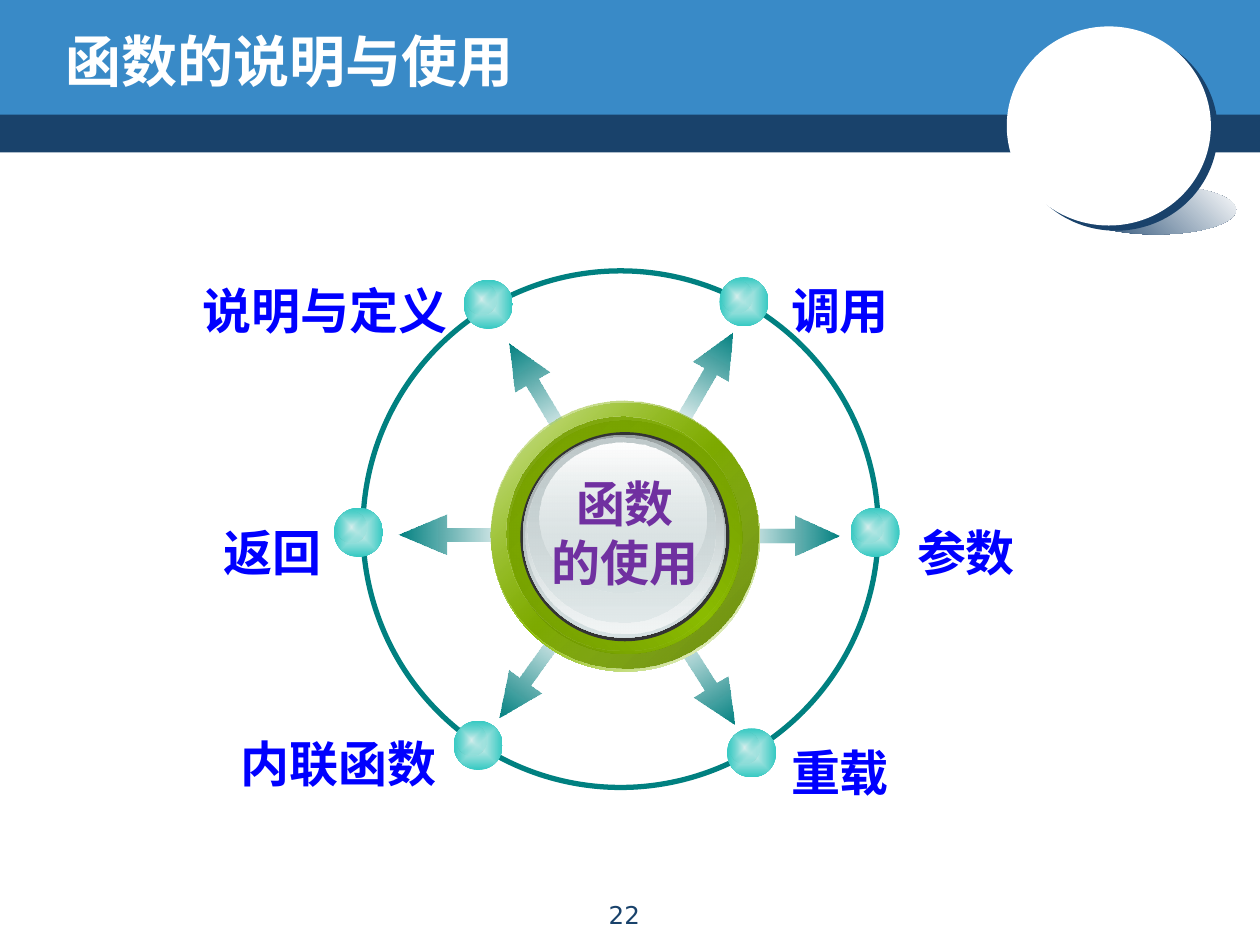
from lxml import etree
from pptx import Presentation
from pptx import util as u
from pptx.dml.color import RGBColor
from pptx.enum import shapes, text
from pptx.oxml import ns

NAVY = RGBColor(0x19, 0x42, 0x6B)
SKY = RGBColor(0x39, 0x8A, 0xC7)
WHITE = RGBColor(0xFF, 0xFF, 0xFF)
TEAL = RGBColor(0x00, 0x80, 0x80)
DARK_TEAL = RGBColor(0x00, 0x7A, 0x7A)
MINT = RGBColor(0xD7, 0xEF, 0xED)
TURQUOISE = RGBColor(0x35, 0xC9, 0xC2)
LIME = RGBColor(0x8B, 0xBC, 0x00)
OLIVE = RGBColor(0x63, 0x86, 0x00)
MOSS = RGBColor(0x6A, 0x90, 0x00)
LEAF = RGBColor(0x72, 0x9A, 0x00)
CHARCOAL = RGBColor(0x33, 0x33, 0x33)
STEEL = RGBColor(0x99, 0xA1, 0xA2)
SILVER = RGBColor(0xC1, 0xCB, 0xCC)
MIST = RGBColor(0xD6, 0xE1, 0xE2)
PEARL = RGBColor(0xF2, 0xF5, 0xF5)
BLUE = RGBColor(0x00, 0x00, 0xFF)
PURPLE = RGBColor(0x70, 0x30, 0xA0)

CJK_FONT = "Noto Sans CJK SC"
ELLIPSE = shapes.MSO_SHAPE.OVAL
RECTANGLE = shapes.MSO_SHAPE.RECTANGLE
ARROW = shapes.MSO_SHAPE.RIGHT_ARROW
LEFT, CENTER, RIGHT = (text.PP_ALIGN.LEFT, text.PP_ALIGN.CENTER,
                       text.PP_ALIGN.RIGHT)

ARROWS = [
    (5.16, 2.86, 0.87, 299.6),
    (5.16, 5.22, 0.87, 57.8),
    (3.83, 2.94, 0.87, 239.5),
    (3.78, 5.18, 0.87, 125.6),
    (5.79, 4.09, 0.87, 0),
    (3.16, 4.08, 0.94, 180),
]
DOTS = [(3.68, 2.22), (2.65, 4.03), (3.6, 5.72),
        (5.71, 2.2), (6.75, 4.03), (5.77, 5.78)]
BUTTON_LAYERS = [
    (3.9, 3.2, 2.13, 2.13, [(0, WHITE), (50, LIME), (100, WHITE)], 45),
    (3.89, 3.18, 2.13, 2.13, [(0, LIME, 32), (100, OLIVE)], 45),
    (4.04, 3.34, 1.85, 1.85, [(0, MOSS), (50, LIME), (100, MOSS)], 315),
    (4.02, 3.31, 1.85, 1.85, [(0, LEAF), (100, LIME, 0)], 45),
    (4.13, 3.43, 1.66, 1.66, CHARCOAL, 0),
    (4.15, 3.45, 1.61, 1.61, [(0, STEEL), (100, MIST)], 90),
    (4.17, 3.46, 1.57, 1.57, [(0, MIST, 0), (100, PEARL)], 90),
    (4.19, 3.47, 1.49, 1.47, [(0, SILVER), (100, MIST, 48)], 90),
    (4.28, 3.51, 1.33, 1.19, [(0, WHITE), (100, MIST, 38)], 90),
]
LABELS = [
    ("调用", 6.18, 2.14, 0.99, LEFT),
    ("说明与定义", 1.48, 2.14, 2.17, RIGHT),
    ("参数", 7.18, 4.06, 0.99, LEFT),
    ("重载", 6.18, 5.81, 0.99, LEFT),
    ("返回", 1.66, 4.06, 0.99, RIGHT),
    ("内联函数", 1.79, 5.74, 1.77, RIGHT),
]


def add_child(parent, tag, **attributes):
    """Append a DrawingML element with the given attributes."""
    child = etree.SubElement(parent, ns.qn(f"a:{tag}"))
    for name, value in attributes.items():
        child.set(name, str(value))
    return child


def fill_gradient(shape, stops, angle):
    """Fill a shape with a linear gradient, or a radial one if angle is None."""
    shape.fill.background()
    properties = shape._element.spPr
    empty_fill = properties.find(ns.qn("a:noFill"))
    gradient = etree.Element(ns.qn("a:gradFill"), rotWithShape="1")
    stop_list = add_child(gradient, "gsLst")
    for position, color, *opacity in stops:
        stop = add_child(stop_list, "gs", pos=position * 1000)
        color_element = add_child(stop, "srgbClr", val=color)
        if opacity:
            add_child(color_element, "alpha", val=opacity[0] * 1000)
    if angle is None:
        radial = add_child(gradient, "path", path="shape")
        add_child(radial, "fillToRect", l=50000, t=50000, r=50000, b=50000)
    else:
        add_child(gradient, "lin", ang=angle * 60000, scaled=0)
    properties.replace(empty_fill, gradient)


def add_figure(container, kind, left, top, width, height, fill=None, angle=0):
    """Add a borderless preset shape with a solid, gradient or empty fill."""
    shape = container.add_shape(kind, u.Inches(left), u.Inches(top),
                                u.Inches(width), u.Inches(height))
    shape.line.fill.background()
    shape.shadow.inherit = False
    if fill is None:
        shape.fill.background()
    elif isinstance(fill, RGBColor):
        shape.fill.solid()
        shape.fill.fore_color.rgb = fill
    else:
        fill_gradient(shape, fill, angle)
    return shape


def add_text(slide, content, left, top, width, height, *, size, color,
             font=CJK_FONT, bold=True, align=LEFT, wrap=False, spacing=None,
             anchor=text.MSO_ANCHOR.TOP, margins=(0.05, 0.05)):
    """Add a text box with one paragraph per line of content."""
    box = slide.shapes.add_textbox(u.Inches(left), u.Inches(top),
                                   u.Inches(width), u.Inches(height))
    frame = box.text_frame
    frame.word_wrap = wrap
    frame.vertical_anchor = anchor
    frame.margin_top, frame.margin_bottom = map(u.Inches, margins)
    frame.text = content
    for paragraph in frame.paragraphs:
        paragraph.alignment = align
        paragraph.line_spacing = spacing
        for run in paragraph.runs:
            run.font.size = u.Pt(size)
            run.font.bold = bold
            run.font.color.rgb = color
            run.font.name = font
            add_child(run.font._element, "ea", typeface=CJK_FONT)
    return box


def add_header(slide):
    """Add the two header bands and the disc with its shadow."""
    add_figure(slide.shapes, RECTANGLE, 0, 0.87, 10, 0.34, NAVY)
    add_figure(slide.shapes, RECTANGLE, 0, 0, 10, 0.91, SKY)
    badge = slide.shapes.add_group_shape().shapes
    add_figure(badge, ELLIPSE, 8.54, 1.47, 1.27, 0.39,
               [(0, NAVY), (100, WHITE)], 315)
    disc = add_figure(badge, ELLIPSE, 7.99, 0.21, 1.62, 1.58, WHITE)
    effects = disc._element.spPr.find(ns.qn("a:effectLst"))
    shadow = add_child(effects, "outerShdw", blurRad=0, dist=int(u.Pt(5)),
                       dir=37 * 60000, algn="ctr", rotWithShape=0)
    add_child(shadow, "srgbClr", val=NAVY)
    add_figure(badge, ELLIPSE, 8.54, 0.68, 0.57, 0.59, WHITE)


def add_arrow(slide, left, top, width, rotation):
    """Add a block arrow that fades in towards its head."""
    arrow = add_figure(slide.shapes, ARROW, left, top, width, 0.32,
                       [(0, DARK_TEAL, 0), (100, TEAL)])
    arrow.adjustments[0] = 0.35
    arrow.adjustments[1] = 1.11 * width / 0.87
    arrow.rotation = rotation


def add_dot(slide, left, top):
    """Add a glossy dot with its highlight as a group."""
    dot = slide.shapes.add_group_shape().shapes
    add_figure(dot, ELLIPSE, left, top, 0.39, 0.39,
               [(0, MINT), (100, TURQUOISE)], None)
    add_figure(dot, ELLIPSE, left + 0.02, top + 0.03, 0.24, 0.25,
               [(0, MINT), (100, TURQUOISE, 0)], None)


def main():
    """Build the slide and save it."""
    presentation = Presentation()
    presentation.slide_width = u.Inches(10)
    presentation.slide_height = u.Inches(7.5)
    slide = presentation.slides.add_slide(presentation.slide_layouts[6])

    add_header(slide)
    for arrow in ARROWS:
        add_arrow(slide, *arrow)
    orbit = add_figure(slide.shapes, ELLIPSE, 2.88, 2.15, 4.09, 4.1)
    orbit.line.color.rgb = TEAL
    orbit.line.width = u.Pt(3)
    for dot in DOTS:
        add_dot(slide, *dot)
    for layer in BUTTON_LAYERS:
        add_figure(slide.shapes, ELLIPSE, *layer)

    label_format = {"size": 28, "spacing": u.Pt(34), "margins": (0.08, 0.02)}
    add_text(slide, "函数\n的使用", 4.27, 3.67, 1.38, 1.04, color=PURPLE,
             align=CENTER, **label_format)
    for content, left, top, width, align in LABELS:
        add_text(slide, content, left, top, width, 0.57, color=BLUE,
                 align=align, **label_format)
    add_text(slide, "22", 4.05, 7.09, 1.81, 0.32, size=14, color=NAVY,
             font="DejaVu Sans", bold=False, align=CENTER, wrap=True)
    add_text(slide, "函数的说明与使用", 0.42, 0.17, 8.08, 0.62, size=32,
             color=WHITE, font="Comic Neue", wrap=True,
             anchor=text.MSO_ANCHOR.MIDDLE, margins=(0, 0))
    presentation.save("out.pptx")


if __name__ == "__main__":
    main()
